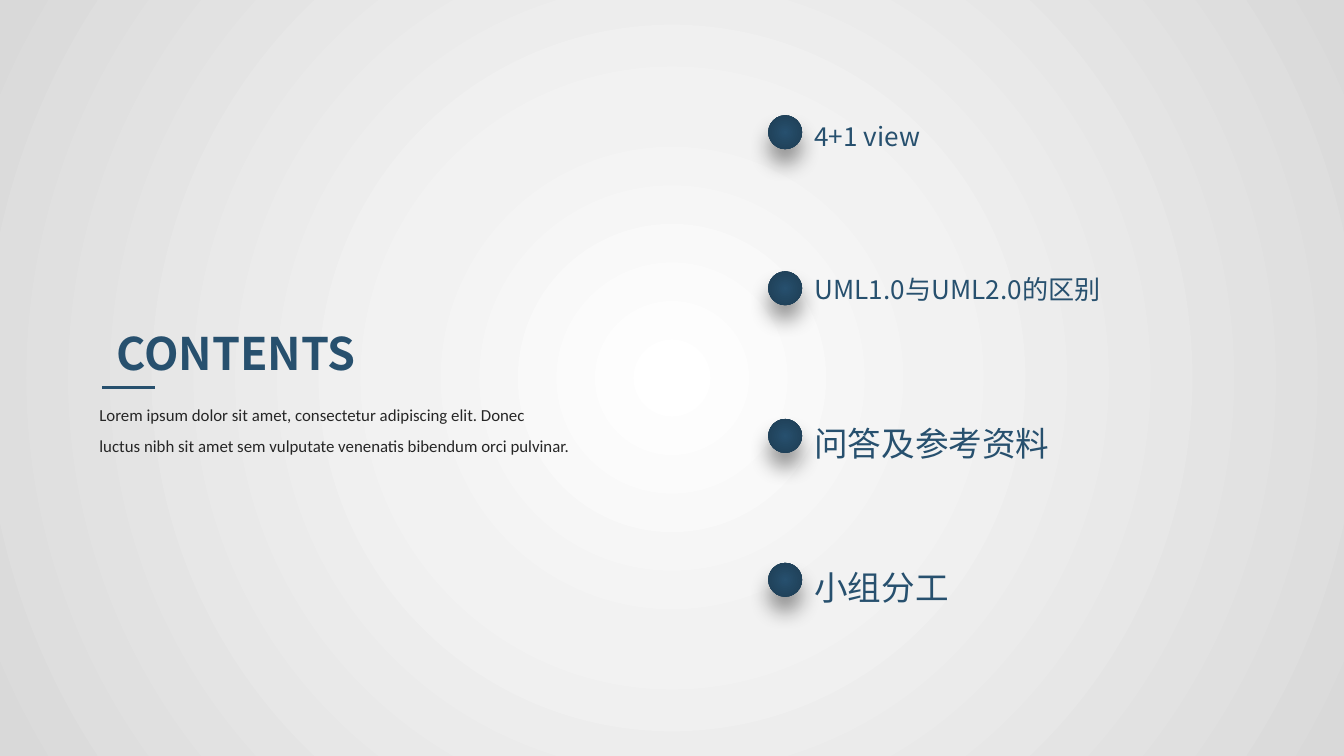
"""Build a contents slide with four dotted agenda entries."""
import lxml.etree
import pptx
import pptx.dml.color
import pptx.enum.shapes
import pptx.enum.text
import pptx.oxml.ns
import pptx.util

Cm = pptx.util.Cm
Pt = pptx.util.Pt
RGBColor = pptx.dml.color.RGBColor
qn = pptx.oxml.ns.qn
PP_ALIGN = pptx.enum.text.PP_ALIGN

NAVY = RGBColor(0x27, 0x50, 0x6E)
DEEP_NAVY = RGBColor(0x1D, 0x3C, 0x52)
CHARCOAL = RGBColor(0x26, 0x26, 0x26)
WHITE = RGBColor(0xFF, 0xFF, 0xFF)
PALE_GREY = RGBColor(0xF2, 0xF2, 0xF2)
GREY = RGBColor(0xD9, 0xD9, 0xD9)
BLACK = RGBColor(0, 0, 0)
CJK_FONT = "Noto Sans CJK SC"


def set_radial_fill(fill, parent, stops):
    fill.solid()
    stop_xml = "".join(
        f'<a:gs pos="{pos * 1000}"><a:srgbClr val="{color}"/></a:gs>' for pos, color in stops
    )
    grad = pptx.oxml.parse_xml(
        f'<a:gradFill {pptx.oxml.ns.nsdecls("a")} rotWithShape="1"><a:gsLst>{stop_xml}</a:gsLst>'
        '<a:path path="circle"><a:fillToRect l="50000" t="50000" r="50000" b="50000"/></a:path>'
        "</a:gradFill>"
    )
    parent.replace(parent.find(qn("a:solidFill")), grad)


def write_text(sp, text, *, box, size, font=CJK_FONT, color=NAVY, bold=False,
               align=PP_ALIGN.LEFT, spacing=1.0):
    sp.left, sp.top, sp.width, sp.height = [Cm(v) for v in box]
    tf = sp.text_frame
    tf.word_wrap = True
    tf.auto_size = pptx.enum.text.MSO_AUTO_SIZE.SHAPE_TO_FIT_TEXT
    tf.vertical_anchor = pptx.enum.text.MSO_ANCHOR.TOP
    p = tf.paragraphs[0]
    p.alignment = align
    p.line_spacing = spacing
    r = p.add_run()
    r.text = text
    r.font.size = Pt(size)
    r.font.bold = bold
    r.font.color.rgb = color
    r.font.name = font
    ea = lxml.etree.SubElement(r.font._element, qn("a:ea"))
    ea.set("typeface", font)


prs = pptx.Presentation()
prs.slide_width = Cm(25.4)
prs.slide_height = Cm(14.29)
s = prs.slides.add_slide(prs.slide_layouts[5])

bg_fill = s.background.fill
bg_fill.solid()
set_radial_fill(bg_fill, s.element.find(".//" + qn("p:bgPr")),
                [(0, WHITE), (35, PALE_GREY), (100, GREY)])

write_text(s.shapes.title, "CONTENTS", box=(1.63, 6.02, 5.66, 1.27), size=24,
           bold=True, align=PP_ALIGN.CENTER)

intro = s.shapes.add_textbox(0, 0, 0, 0)
write_text(
    intro,
    "Lorem ipsum dolor sit amet, consectetur adipiscing elit. Donec luctus "
    "nibh sit amet sem vulputate venenatis bibendum orci pulvinar.",
    box=(1.63, 7.34, 9.37, 1.35), size=9, font="Calibri", color=CHARCOAL, spacing=1.5,
)

rule = s.shapes.add_connector(pptx.enum.shapes.MSO_CONNECTOR.STRAIGHT,
                              Cm(1.93), Cm(7.32), Cm(2.92), Cm(7.32))
rule.line.color.rgb = NAVY
rule.line.width = Pt(1.5)
lxml.etree.SubElement(rule._element.spPr, qn("a:effectLst"))

entries = [
    ("4+1 view", 2.18, 2.16, 2.69, 14),
    ("UML1.0与UML2.0的区别", 5.13, 5.05, 6.15, 14),
    ("问答及参考资料", 7.92, 7.87, 5.0, 18),
    ("小组分工", 10.64, 10.59, 3.07, 18),
]
for text, dot_top, text_top, width, size in entries:
    dot = s.shapes.add_shape(pptx.enum.shapes.MSO_SHAPE.OVAL,
                             Cm(14.52), Cm(dot_top), Cm(0.64), Cm(0.64))
    dot.line.fill.background()
    set_radial_fill(dot.fill, dot._element.spPr, [(0, NAVY), (100, DEEP_NAVY)])
    dot.shadow.inherit = False
    dot._element.spPr.find(qn("a:effectLst")).append(pptx.oxml.parse_xml(
        f'<a:outerShdw {pptx.oxml.ns.nsdecls("a")} blurRad="{Pt(11)}" dist="{Pt(8)}" '
        f'dir="5400000" algn="t" rotWithShape="0"><a:srgbClr val="{BLACK}">'
        '<a:alpha val="40000"/></a:srgbClr></a:outerShdw>'
    ))
    label = s.shapes.add_textbox(0, 0, 0, 0)
    write_text(label, text, box=(15.14, text_top, width, 0.86 if size == 14 else 1.02), size=size)

prs.save("out.pptx")
